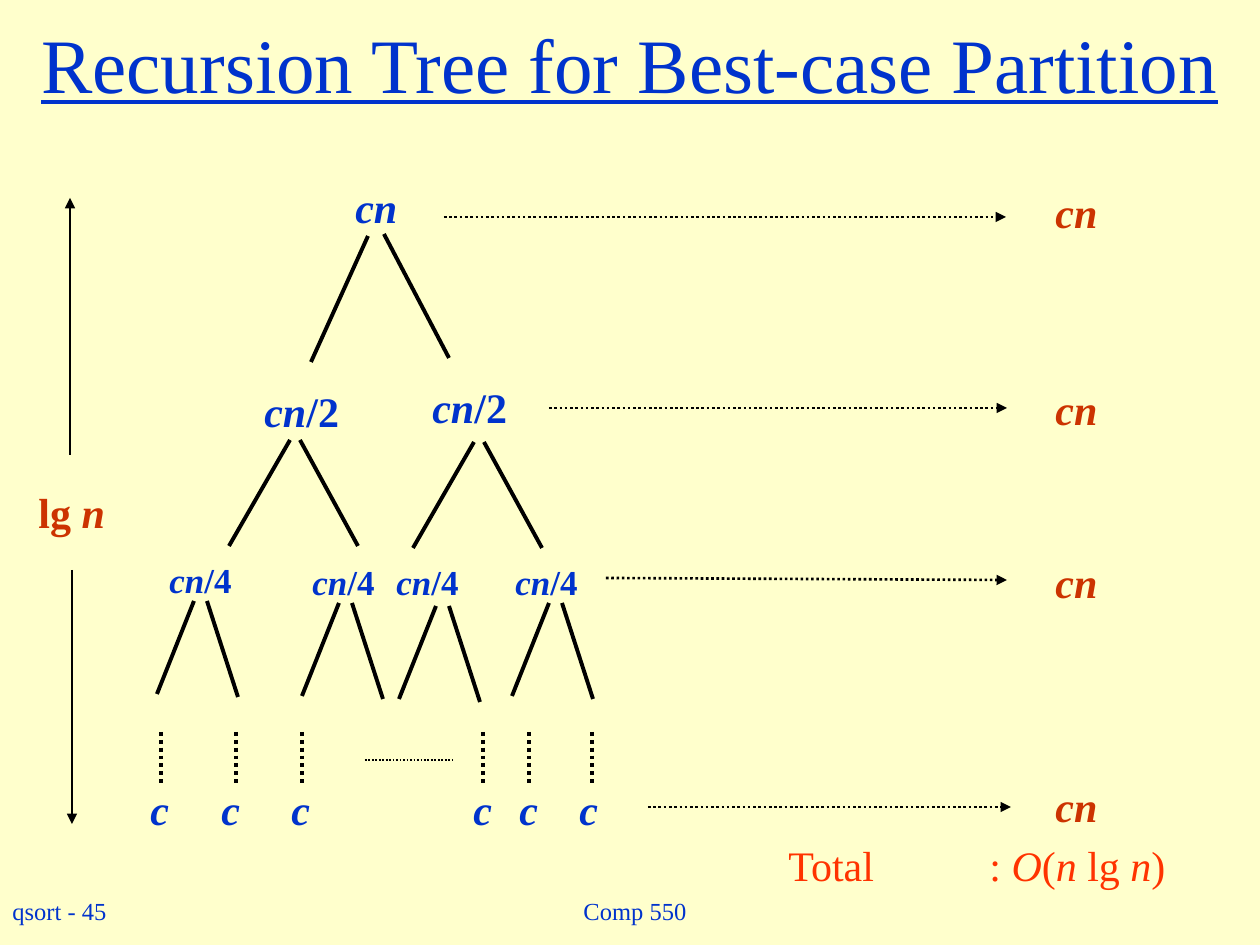
"""Build the slide showing the recursion tree for best-case partition."""
from dataclasses import dataclass

from lxml import etree
from pptx import Presentation
from pptx.dml.color import RGBColor
from pptx.enum.dml import MSO_LINE
from pptx.enum.shapes import MSO_CONNECTOR
from pptx.enum.text import MSO_ANCHOR, MSO_AUTO_SIZE, PP_ALIGN
from pptx.oxml.ns import qn
from pptx.util import Emu, Pt

STRAIGHT = MSO_CONNECTOR.STRAIGHT
DOTTED = MSO_LINE.ROUND_DOT
MIDDLE = MSO_ANCHOR.MIDDLE
CENTER = PP_ALIGN.CENTER
LEFT = PP_ALIGN.LEFT
GROW = MSO_AUTO_SIZE.SHAPE_TO_FIT_TEXT
FIXED = MSO_AUTO_SIZE.NONE
TITLE_ONLY = 5
EMU_PER_PX = 914400 / 126


@dataclass(frozen=True)
class Theme:
    """Colours, font and sizes of the slide."""
    paper: str = "FFFFCC"
    blue: str = "0033CC"
    rust: str = "CC3300"
    orange: str = "FF3300"
    ink: str = "000000"
    font: str = "Times New Roman"
    title: int = 44
    label: int = 24
    small: int = 20
    footer: int = 14
    branch: float = 2.25
    arrow: float = 1.5
    hairline: float = 1


THEME = Theme()


def px(length):
    """Turn pixels into EMU."""
    return Emu(round(length * EMU_PER_PX))


class TreeSlide:
    """Draws titles, labels and lines on one page in one style."""

    def __init__(self, page, theme):
        """Keep the page and theme, and paint the background."""
        self.page = page
        self.theme = theme
        fill = page.background.fill
        fill.solid()
        fill.fore_color.rgb = RGBColor.from_string(theme.paper)

    def span(self, para, text, size, color, bold=False, italic=False, underline=False):
        """Add one formatted run."""
        run = para.add_run()
        run.text = text
        font = run.font
        font.name, font.size = self.theme.font, Pt(size)
        font.bold, font.italic, font.underline = bold, italic, underline
        font.color.rgb = RGBColor.from_string(color)

    def title(self, text):
        """Format the title placeholder across the top."""
        box = self.page.shapes.title
        box.left, box.top, box.width, box.height = map(px, (0, 0, 1260, 126))
        frame = box.text_frame
        frame.vertical_anchor, frame.word_wrap, frame.auto_size = MIDDLE, True, FIXED
        para = frame.paragraphs[0]
        para.alignment = CENTER
        self.span(para, text, self.theme.title, self.theme.blue, underline=True)

    def label(self, bounds, spans, size, color, bold=True, align=LEFT, tab=None):
        """Add a one-line text box from (text, italic) spans."""
        box = self.page.shapes.add_textbox(*map(px, bounds))
        frame = box.text_frame
        frame.word_wrap = False
        frame.auto_size = FIXED if align == CENTER else GROW
        if align == CENTER:
            frame.vertical_anchor = MIDDLE
        para = frame.paragraphs[0]
        para.alignment = align
        if tab:
            stops = etree.SubElement(para._p.get_or_add_pPr(), qn("a:tabLst"))
            etree.SubElement(stops, qn("a:tab"), pos=str(px(tab)), algn="l")
        for text, italic in spans:
            self.span(para, text, size, color, bold, italic)

    def line(self, x1, y1, x2, y2, weight, dotted=False, arrow=False):
        """Draw a straight line, optionally dotted or with an arrowhead."""
        connector = self.page.shapes.add_connector(STRAIGHT, px(x1), px(y1), px(x2), px(y2))
        connector.line.width = Pt(weight)
        connector.line.color.rgb = RGBColor.from_string(self.theme.ink)
        if dotted:
            connector.line.dash_style = DOTTED
        if arrow:
            etree.SubElement(connector.line._get_or_add_ln(), qn("a:tailEnd"), type="triangle")
        etree.SubElement(connector._element.spPr, qn("a:effectLst"))

    def fork(self, x, y, branches):
        """Draw the branches of a node, given relative to its apex."""
        for x1, y1, x2, y2 in branches:
            self.line(x + x1, y + y1, x + x2, y + y2, self.theme.branch)


ROOT_FORK = ((0, 0, -57, 126), (16, -2, 81, 122))
HALF_FORK = ((0, 0, -61, 106), (10, 0, 68, 106))
QUARTER_FORK = ((0, 0, -37, 93), (13, 0, 44, 96))
NODES = (
    ("", THEME.label, 67, 63, ROOT_FORK, ((343, 175, 368, 236),)),
    ("/2", THEME.label, 102, 63, HALF_FORK, ((252, 379, 290, 440), (420, 375, 474, 442))),
    ("/4", THEME.small, 90, 54, QUARTER_FORK, ((157, 552, 194, 601), (300, 554, 339, 603),
                                               (384, 554, 436, 606), (503, 554, 549, 603))),
)
LEAVES = ((138, 161), (209, 236), (279, 302), (461, 483), (507, 529), (567, 592))
LEVEL_ARROWS = ((444, 217, 1006, 217), (549, 408, 1007, 408),
                (606, 578, 1007, 580), (648, 807, 1011, 807))
COST_TOPS = (180, 377, 550, 774)
DEPTH_ARROWS = ((70, 455, 70, 198), (72, 570, 72, 824))
TOTAL = (("Total\t: ", False), ("O", True), ("(", False), ("n ", True),
         ("lg ", False), ("n", True), (")", False))


def draw_tree(slide):
    """Draw the nodes, branches and leaves."""
    theme = slide.theme
    for divisor, size, width, height, branches, nodes in NODES:
        spans = [("cn", True)] + ([(divisor, False)] if divisor else [])
        for left, top, apex_x, apex_y in nodes:
            slide.label((left, top, width, height), spans, size, theme.blue)
            slide.fork(apex_x, apex_y, branches)
    for left, stem in LEAVES:
        slide.line(stem, 732, stem, 785, theme.branch, dotted=True)
        slide.label((left, 777, 44, 63), [("c", True)], theme.label, theme.blue)
    slide.line(365, 760, 452, 760, theme.hairline, dotted=True)


def draw_costs(slide):
    """Draw the depth, the cost of each level and the total."""
    theme = slide.theme
    for ends, top in zip(LEVEL_ARROWS, COST_TOPS):
        slide.line(*ends, theme.arrow, dotted=True, arrow=True)
        slide.label((1043, top, 67, 63), [("cn", True)], theme.label, theme.rust)
    for ends in DEPTH_ARROWS:
        slide.line(*ends, theme.arrow, arrow=True)
    slide.label((26, 480, 92, 63), [("lg ", False), ("n", True)], theme.label, theme.rust)
    slide.label((776, 833, 406, 63), TOTAL, theme.label, theme.orange, bold=False, tab=201)


def main():
    """Build and save the deck."""
    deck = Presentation()
    deck.slide_width, deck.slide_height = px(1260), px(945)
    page = deck.slides.add_slide(deck.slide_layouts[TITLE_ONLY])
    slide = TreeSlide(page, THEME)
    slide.title("Recursion Tree for Best-case Partition")
    draw_tree(slide)
    draw_costs(slide)
    slide.label((0, 890, 123, 42), [("qsort - 45", False)], THEME.footer, THEME.blue, bold=False)
    slide.label((504, 879, 262, 63), [("Comp 550", False)], THEME.footer, THEME.blue,
                bold=False, align=CENTER)
    deck.save("out.pptx")


if __name__ == "__main__":
    main()
